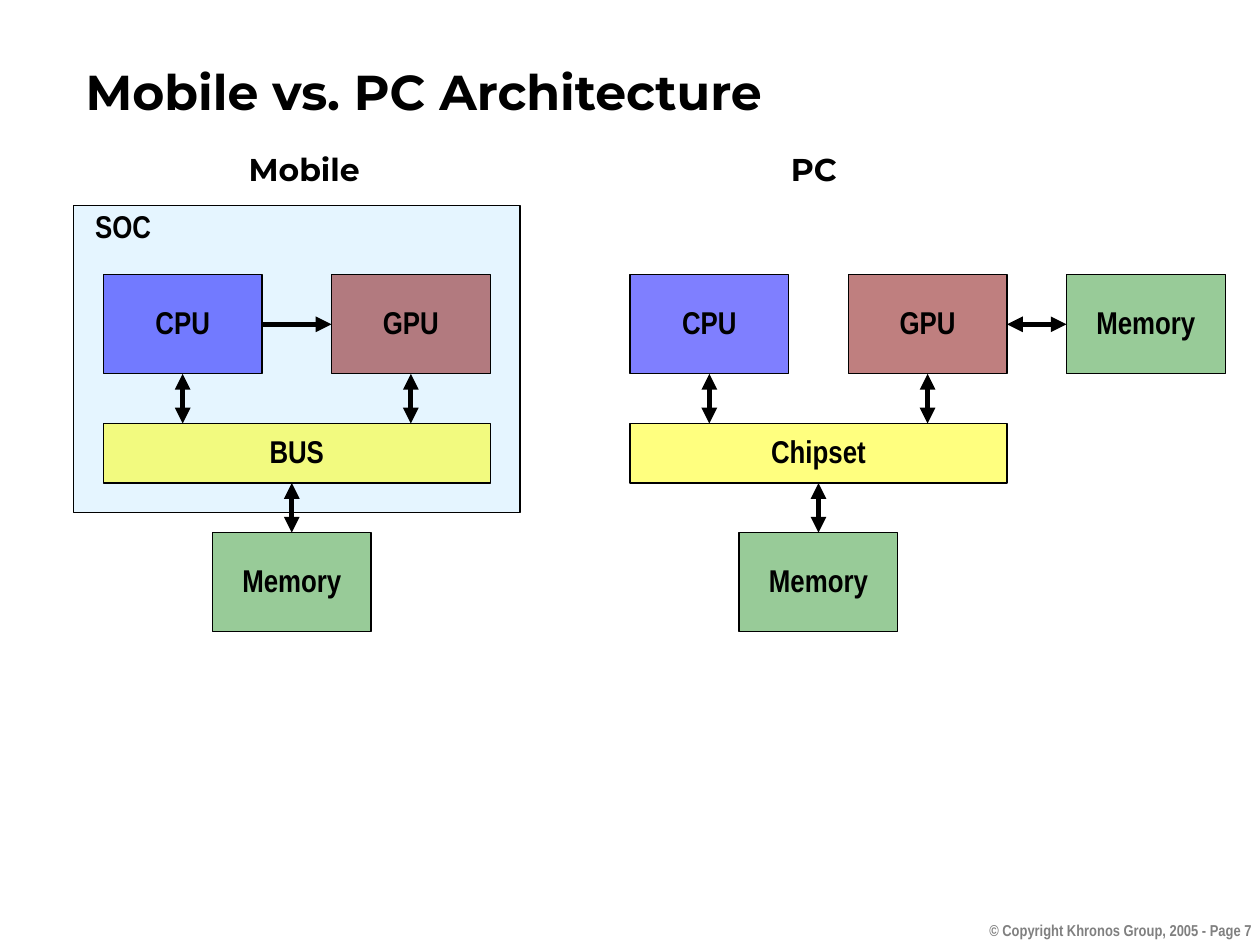
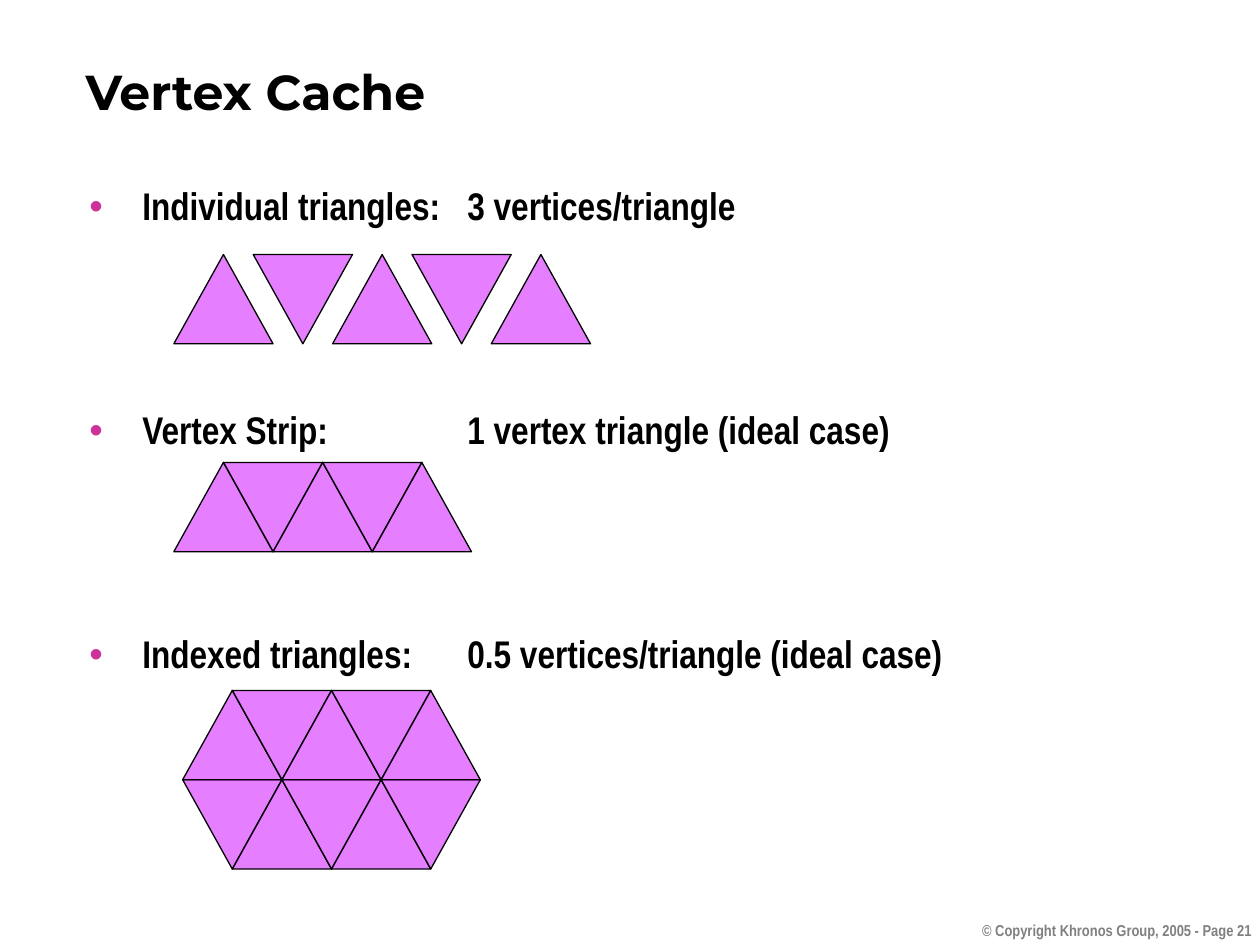
"""Build two slides: a block diagram of mobile and PC hardware, and a vertex cache summary."""
from pptx import Presentation
from pptx import util as u
from pptx.dml.color import RGBColor
from pptx.enum import shapes as s, text as t
from pptx.oxml import ns
from lxml import etree

CELL = 2 / 25.4
NARROW, WIDE = "Arial Narrow", "Montserrat"
BLACK, GREY, PINK, PURPLE = "000000", "808080", "CC3399", "CC00FF"
BLUE, MAROON, GREEN, YELLOW, SKY = "0000FF", "800000", "339933", "FFFF00", "CCECFF"
TITLE = (0.58, 0.51, 9.37, 0.42)
FOOT = (7.64, 7.26, 2.39, 0.33)
BODY = (0.61, 1.42, 9.39, 5.66)
BOTH, END = ("headEnd", "tailEnd"), ("tailEnd",)

# Boxes, arrows and labels are in grid cells, counted from each CPU's corner.
PARTS = [
    {
        "at": (0.82, 2.18),
        "boxes": [
            ("", -3, -7, 45, 31, SKY),
            ("CPU", 0, 0, 16, 10, BLUE),
            ("GPU", 23, 0, 16, 10, MAROON),
            ("Memory", 11, 26, 16, 10, GREEN),
            ("BUS", 0, 15, 39, 6, YELLOW),
        ],
        "arrows": [
            (8, 10, 8, 15, BOTH),
            (16, 5, 23, 5, END),
            (31, 10, 31, 15, BOTH),
            (19.0, 21, 19.0, 26, BOTH),
        ],
        "labels": [
            ("Mobile", 12.5, -12.8, 15.5, WIDE),
            ("SOC", -3, -7, 10, NARROW),
        ],
    },
    {
        "at": (5, 2.18),
        "boxes": [
            ("CPU", 0, 0, 16, 10, BLUE),
            ("GPU", 22, 0, 16, 10, MAROON),
            ("Memory", 11, 26, 16, 10, GREEN),
            ("Chipset", 0, 15, 38, 6, YELLOW),
            ("Memory", 44, 0, 16, 10, GREEN),
        ],
        "arrows": [
            (8, 10, 8, 15, BOTH),
            (30, 10, 30, 15, BOTH),
            (19, 21, 19, 26, BOTH),
            (38, 5, 44, 5, BOTH),
        ],
        "labels": [("PC", 12.7, -12.8, 11.7, WIDE)],
    },
]

POINTS = [
    "Individual triangles:\t3 vertices/triangle",
    "Vertex Strip:\t1 vertex triangle (ideal case)",
    "Indexed triangles:\t0.5 vertices/triangle (ideal case)",
]
STRIPS = [
    {"left": 1.38, "top": 2.02, "step": 8, "down": 0},
    {"left": 1.38, "top": 3.67, "step": 5, "down": 0},
    {"left": 1.45, "top": 5.48, "step": 5, "down": 0},
    {"left": 1.45, "top": 5.48 + 9 * CELL, "step": 5, "down": 1},
]


def rgb(code):
    return RGBColor.from_string(code)


def inch(*vals):
    return [u.Inches(v) for v in vals]


def place(shape, box):
    shape.left, shape.top, shape.width, shape.height = inch(*box)


def sub(node, tag, **attrs):
    return etree.SubElement(node, ns.qn("a:" + tag), attrs)


def write(shape, *lines, font=NARROW, size=18, color=BLACK, align="LEFT",
          mid=False, wrap=True, space=None, gap=0, bullet=None, tab=None):
    frame = shape.text_frame
    frame.auto_size = t.MSO_AUTO_SIZE.NONE
    frame.word_wrap = wrap
    frame.vertical_anchor = t.MSO_ANCHOR.MIDDLE if mid else t.MSO_ANCHOR.TOP
    for i, line in enumerate(lines):
        para = frame.add_paragraph() if i else frame.paragraphs[0]
        run = para.add_run()
        run.text = line
        para.alignment = t.PP_ALIGN[align]
        para.space_before = u.Pt(gap if i else 0)
        if space:
            para.line_spacing = space
        if bullet:
            props = para._p.get_or_add_pPr()
            props.set("marL", str(u.Inches(0.42)))
            props.set("indent", str(-u.Inches(0.42)))
            sub(sub(props, "buClr"), "srgbClr", val=bullet)
            sub(props, "buChar", char="•")
            sub(sub(props, "tabLst"), "tab", pos=str(u.Inches(tab)), algn="l")
        run.font.name, run.font.size, run.font.bold = font, u.Pt(size), True
        run.font.color.rgb = rgb(color)


def label(page, text, box, **form):
    write(page.shapes.add_textbox(*inch(*box)), text, **form)


def block(page, kind, box, color):
    shape = page.shapes.add_shape(kind, *inch(*box))
    shape.shadow.inherit = False
    shape.fill.solid()
    shape.fill.fore_color.rgb = rgb(color)
    sub(shape._element.spPr.find(ns.qn("a:solidFill"))[0], "alpha", val="50000")
    shape.line.color.rgb = rgb(BLACK)
    shape.line.width = u.Pt(0.75)
    return shape


def arrow(page, ends, tips):
    line = page.shapes.add_connector(s.MSO_CONNECTOR.STRAIGHT, *inch(*ends))
    line.line.color.rgb = rgb(BLACK)
    line.line.width = u.Pt(3)
    props = line._element.spPr
    for tip in tips:
        sub(props.find(ns.qn("a:ln")), tip, type="triangle")
    sub(props, "effectLst")


def start(deck, layout, title, num):
    page = deck.slides.add_slide(deck.slide_layouts.get_by_name(layout))
    place(page.shapes.title, TITLE)
    write(page.shapes.title, title, font=WIDE, size=28, mid=True)
    label(page, f"© Copyright Khronos Group, 2005 - Page {num}", FOOT,
          size=9, color=GREY, align="RIGHT")
    return page


def draw(page, part):
    x, y = part["at"]

    def spot(col, row):
        return x + col * CELL, y + row * CELL

    for text, col, row, wide, high, color in part["boxes"]:
        box = (*spot(col, row), wide * CELL, high * CELL)
        shape = block(page, s.MSO_SHAPE.RECTANGLE, box, color)
        if text:
            write(shape, text, align="CENTER", mid=True, wrap=False, space=0.9)
    for c1, r1, c2, r2, tips in part["arrows"]:
        arrow(page, (*spot(c1, r1), *spot(c2, r2)), tips)
    for text, col, row, wide, font in part["labels"]:
        label(page, text, (*spot(col, row), wide * CELL, 0.37),
              font=font, align="CENTER", space=0.9)


def fan(page, strip):
    for i in range(5):
        box = (strip["left"] + i * strip["step"] * CELL, strip["top"], 10 * CELL, 9 * CELL)
        shape = block(page, s.MSO_SHAPE.ISOSCELES_TRIANGLE, box, PURPLE)
        if (i + strip["down"]) % 2:
            shape.rotation = 180


def main():
    deck = Presentation()
    deck.slide_width, deck.slide_height = inch(10, 7.5)

    page = start(deck, "Title Only", "Mobile vs. PC Architecture", 7)
    for part in PARTS:
        draw(page, part)

    page = start(deck, "Title and Content", "Vertex Cache", 21)
    body = page.placeholders[1]
    place(body, BODY)
    write(body, *POINTS, size=22, space=0.95, gap=102.9, bullet=PINK, tab=3)
    for strip in STRIPS:
        fan(page, strip)

    deck.save("out.pptx")


if __name__ == "__main__":
    main()
